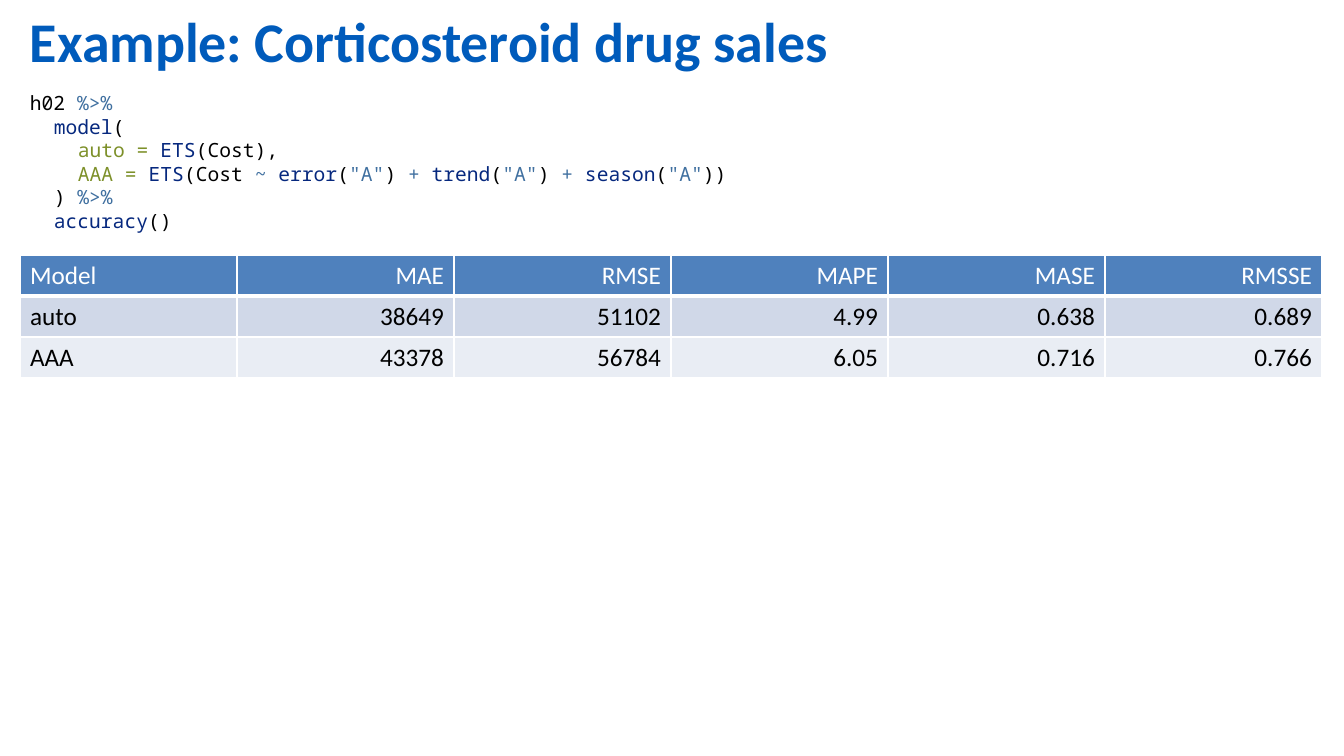
from dataclasses import dataclass

from lxml import etree
from pptx import Presentation
from pptx import util as u
from pptx.dml.color import RGBColor
from pptx.enum import text
from pptx.oxml import ns

PX = 914400 / 100.8  # EMU in one px


@dataclass(frozen=True)
class Theme:
    title: str = "005BBB"
    plain: str = "000000"
    operator: str = "4070A0"
    function: str = "06287E"
    argument: str = "7D9029"
    white: str = "FFFFFF"
    header: str = "4F81BD"
    bands: tuple = ("D0D8E8", "E9EDF4")
    body_font: str = "Calibri"
    code_font: str = "Noto Sans Mono"
    title_size: int = 40
    code_size: int = 14
    code_pitch: float = 16.8
    table_size: int = 18


def px(length):
    return u.Emu(round(length * PX))


class SlideBuilder:
    def __init__(self, slide, theme):
        self.slide = slide
        self.theme = theme

    def add_run(self, paragraph, words, font, size, color, bold=False):
        run = paragraph.add_run()
        run.text = words
        run.font.name = font
        run.font.size = u.Pt(size)
        run.font.bold = bold
        run.font.color.rgb = RGBColor.from_string(color)

    def text_frame(self, left, top, width, height):
        box = self.slide.shapes.add_textbox(px(left), px(top), px(width), px(height))
        box.text_frame.word_wrap = True
        return box.text_frame

    def title(self, words, left, top, width, height):
        frame = self.text_frame(left, top, width, height)
        frame.vertical_anchor = text.MSO_ANCHOR.BOTTOM
        self.add_run(frame.paragraphs[0], words, self.theme.body_font,
                     self.theme.title_size, self.theme.title, bold=True)

    def code(self, lines, left, top, width, height, indent):
        """Each line is an indent level followed by (kind, words) pairs."""
        frame = self.text_frame(left, top, width, height)
        for number, (level, *tokens) in enumerate(lines):
            paragraph = frame.add_paragraph() if number else frame.paragraphs[0]
            paragraph.line_spacing = u.Pt(self.theme.code_pitch)
            paragraph._p.get_or_add_pPr().set("marL", str(px(level * indent)))
            for kind, words in tokens:
                self.add_run(paragraph, words, self.theme.code_font,
                             self.theme.code_size, getattr(self.theme, kind))

    def borders(self, cell, bottom):
        properties = cell._tc.get_or_add_tcPr()
        widths = {"lnL": 1, "lnR": 1, "lnT": 1, "lnB": bottom}
        for position, (side, width) in enumerate(widths.items()):
            line = etree.Element(ns.qn(f"a:{side}"), w=str(u.Pt(width)))
            fill = etree.SubElement(line, ns.qn("a:solidFill"))
            etree.SubElement(fill, ns.qn("a:srgbClr"), val=self.theme.white)
            properties.insert(position, line)

    def table(self, rows, left, top, column_width, row_height):
        columns = len(rows[0])
        table = self.slide.shapes.add_table(
            len(rows), columns, px(left), px(top),
            px(columns * column_width), px(len(rows) * row_height)).table
        for column in table.columns:
            column.width = px(column_width)
        for r, values in enumerate(rows):
            table.rows[r].height = px(row_height)
            header = r == 0
            background = self.theme.header if header else self.theme.bands[(r - 1) % 2]
            color = self.theme.white if header else self.theme.plain
            for c, value in enumerate(values):
                cell = table.cell(r, c)
                cell.fill.solid()
                cell.fill.fore_color.rgb = RGBColor.from_string(background)
                self.borders(cell, bottom=3 if header else 1)
                paragraph = cell.text_frame.paragraphs[0]
                paragraph.alignment = text.PP_ALIGN.RIGHT if c else text.PP_ALIGN.LEFT
                self.add_run(paragraph, value, self.theme.body_font,
                             self.theme.table_size, color)


def component(name):
    """Tokens of one ETS term, such as trend("A")."""
    return [("function", name), ("plain", "("), ("operator", '"A"')]


CODE = [
    (0, ("plain", "h02 "), ("operator", "%>%")),
    (1, ("function", "model"), ("plain", "(")),
    (2, ("argument", "auto = "), ("function", "ETS"), ("plain", "(Cost),")),
    (2, ("argument", "AAA = "), ("function", "ETS"), ("plain", "(Cost "),
     ("operator", "~ "), *component("error"), ("plain", ") "),
     ("operator", "+ "), *component("trend"), ("plain", ") "),
     ("operator", "+ "), *component("season"), ("plain", "))")),
    (1, ("plain", ") "), ("operator", "%>%")),
    (1, ("function", "accuracy"), ("plain", "()")),
]

ACCURACY = [
    ("Model", "MAE", "RMSE", "MAPE", "MASE", "RMSSE"),
    ("auto", "38649", "51102", "4.99", "0.638", "0.689"),
    ("AAA", "43378", "56784", "6.05", "0.716", "0.766"),
]


def main():
    presentation = Presentation()
    presentation.slide_width = px(1344)
    presentation.slide_height = px(756)
    slide = presentation.slides.add_slide(presentation.slide_layouts[6])
    builder = SlideBuilder(slide, Theme())

    # Title
    builder.title("Example: Corticosteroid drug sales", 20, 6, 1277, 73)

    # Model code
    builder.code(CODE, 20, 86, 1310, 157, indent=24)

    # Accuracy table
    builder.table(ACCURACY, 20, 255, column_width=217, row_height=41)

    presentation.save("out.pptx")


if __name__ == "__main__":
    main()
